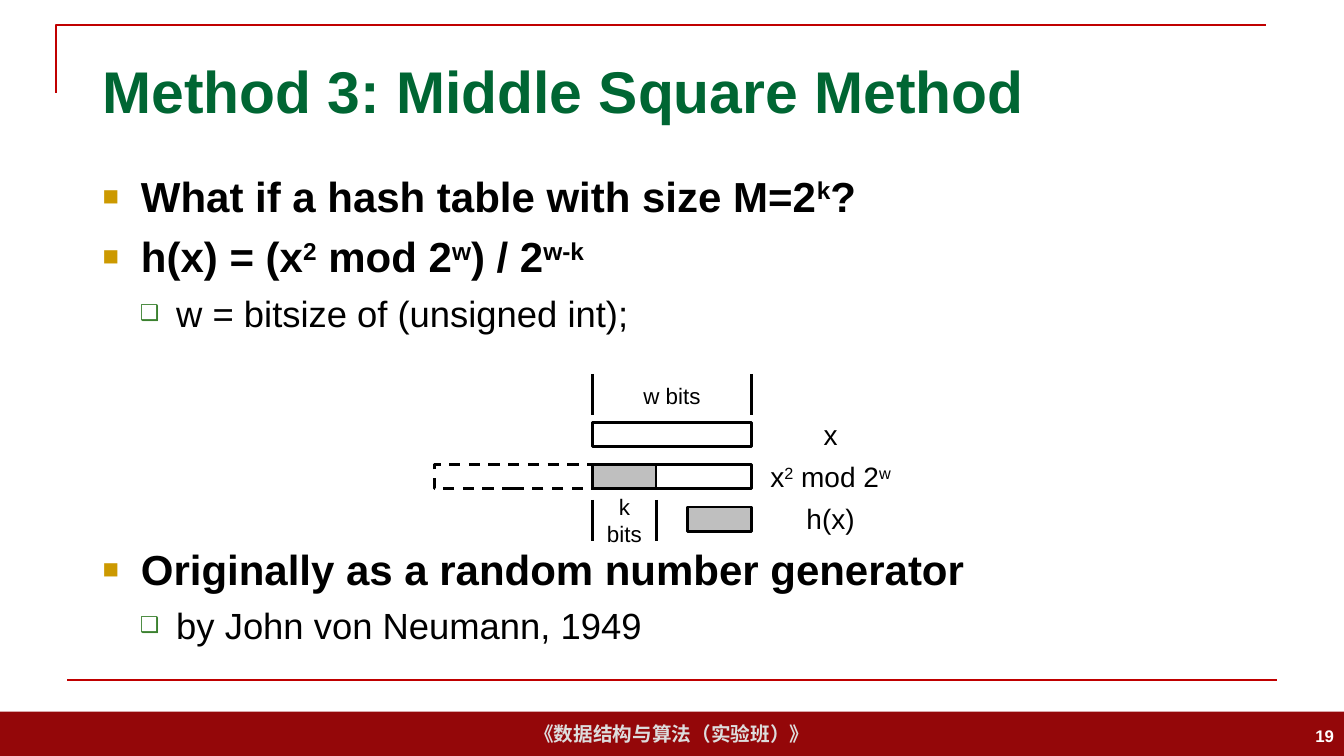
from dataclasses import dataclass
from typing import Optional

from lxml.etree import SubElement
from pptx import Presentation
from pptx.dml.color import RGBColor
from pptx.enum.dml import MSO_LINE_DASH_STYLE as Dash
from pptx.enum.shapes import MSO_CONNECTOR as Connector, MSO_SHAPE as Shape
from pptx.enum.text import MSO_ANCHOR as Anchor, PP_ALIGN as Align
from pptx.oxml.ns import qn
from pptx.util import Inches, Pt

BLACK = RGBColor(0x00, 0x00, 0x00)
WHITE = RGBColor(0xFF, 0xFF, 0xFF)
GREY = RGBColor(0xBF, 0xBF, 0xBF)
PALE = RGBColor(0xDD, 0xDD, 0xDD)
GREEN = RGBColor(0x00, 0x66, 0x33)
RED = RGBColor(0xC0, 0x00, 0x00)
DARK_RED = RGBColor(0x94, 0x07, 0x09)

FONT = "Arial"
WIDTH, HEIGHT = Inches(13.33), Inches(7.5)

# Diagram grid, in percent of the slide's width and height
WORD_LEFT, WORD_WIDTH = 44.1, 11.8
WORD_RIGHT = WORD_LEFT + WORD_WIDTH
KEY_WIDTH = 0.4 * WORD_WIDTH
FIRST_ROW, ROW_STEP, BAR_HEIGHT = 55.87, 5.6, 3.2
TICK_HEIGHT = 5.47
WORD_TICK_TOP, KEY_TICK_TOP = 49.47, 66.13


@dataclass(frozen=True)
class Box:
    """Place in percent of the slide's size."""
    left: float
    top: float
    width: float
    height: float


@dataclass(frozen=True)
class Bar:
    left: float
    row: int
    width: float
    fill: Optional[RGBColor] = None
    dash: Optional[Dash] = None


@dataclass(frozen=True)
class Label:
    text: str  # "^" switches superscript on and off
    box: Box
    size: int
    color: RGBColor = BLACK
    bold: bool = False
    align: Align = Align.CENTER
    anchor: Anchor = Anchor.TOP


@dataclass(frozen=True)
class Level:
    size: int
    bold: bool
    margin: float
    hanging: float
    bullet: str
    bullet_color: str
    bullet_percent: int


TOPIC = Level(30, True, 0.38, 0.38, "■", "CC9900", 65)
DETAIL = Level(26, False, 0.73, 0.36, "❑", "3B812F", 60)


def across(percent: float) -> int:
    return round(WIDTH * percent / 100)


def down(percent: float) -> int:
    return round(HEIGHT * percent / 100)


def place(box: Box) -> tuple[int, int, int, int]:
    return across(box.left), down(box.top), across(box.width), down(box.height)


def write(paragraph, text: str, size: int, color: RGBColor, bold: bool) -> None:
    style = {"name": FONT, "size": Pt(size), "bold": bold}
    for index, part in enumerate(text.split("^")):
        if not part:
            continue
        run = paragraph.add_run()
        run.text = part
        for key, value in style.items():
            setattr(run.font, key, value)
        run.font.color.rgb = color
        if index % 2:
            run._r.get_or_add_rPr().set("baseline", "30000")


def add_label(slide, label: Label) -> None:
    frame = slide.shapes.add_textbox(*place(label.box)).text_frame
    frame.word_wrap = True
    frame.vertical_anchor = label.anchor
    frame.paragraphs[0].alignment = label.align
    write(frame.paragraphs[0], label.text, label.size, label.color, label.bold)


def add_bullets(slide, box: Box, items: list[tuple[Level, str]]) -> None:
    frame = slide.shapes.add_textbox(*place(box)).text_frame
    frame.word_wrap = True
    for index, (level, text) in enumerate(items):
        paragraph = frame.add_paragraph() if index else frame.paragraphs[0]
        paragraph.space_before = Pt(7 if index else 0)
        props = paragraph._p.get_or_add_pPr()
        props.set("marL", str(Inches(level.margin)))
        props.set("indent", str(-Inches(level.hanging)))
        color = SubElement(props, qn("a:buClr"))
        SubElement(color, qn("a:srgbClr")).set("val", level.bullet_color)
        SubElement(props, qn("a:buSzPct")).set("val", str(level.bullet_percent * 1000))
        SubElement(props, qn("a:buFont")).set("typeface", FONT)
        SubElement(props, qn("a:buChar")).set("char", level.bullet)
        write(paragraph, text, level.size, BLACK, level.bold)


def add_rule(slide, start: tuple[float, float], end: tuple[float, float],
             color: RGBColor, weight: float) -> None:
    rule = slide.shapes.add_connector(Connector.STRAIGHT, across(start[0]), down(start[1]),
                                      across(end[0]), down(end[1]))
    rule.line.color.rgb = color
    rule.line.width = Pt(weight)
    SubElement(rule._element.spPr, qn("a:effectLst"))


def add_bar(slide, bar: Bar) -> None:
    box = Box(bar.left, FIRST_ROW + bar.row * ROW_STEP, bar.width, BAR_HEIGHT)
    rect = slide.shapes.add_shape(Shape.RECTANGLE, *place(box))
    rect.shadow.inherit = False
    if bar.fill is None:
        rect.fill.background()
    else:
        rect.fill.solid()
        rect.fill.fore_color.rgb = bar.fill
    rect.line.color.rgb = BLACK
    rect.line.width = Pt(2)
    if bar.dash is not None:
        rect.line.dash_style = bar.dash


def add_frame(slide) -> None:
    # Footer band
    band = slide.shapes.add_shape(Shape.RECTANGLE, *place(Box(0, 94.13, 100, 5.87)))
    band.shadow.inherit = False
    band.fill.solid()
    band.fill.fore_color.rgb = DARK_RED
    band.line.fill.background()
    band.text_frame.vertical_anchor = Anchor.MIDDLE
    course = band.text_frame.paragraphs[0]
    course.alignment = Align.CENTER
    write(course, "《数据结构与算法（实验班）》", 14, PALE, True)
    # Corner line and bottom rule
    outline = slide.shapes.build_freeform(across(4.2), down(12.27))
    outline.add_line_segments([(across(4.2), down(3.33)), (across(94.2), down(3.33))], close=False)
    corner = outline.convert_to_shape()
    corner.shadow.inherit = False
    corner.fill.background()
    corner.line.color.rgb = RED
    corner.line.width = Pt(1.5)
    add_rule(slide, (5, 90), (95, 90), RED, 1.5)


def main() -> None:
    deck = Presentation()
    deck.slide_width, deck.slide_height = WIDTH, HEIGHT
    slide = deck.slides.add_slide(deck.slide_layouts[6])
    add_frame(slide)

    # Title, bullets and page number
    add_label(slide, Label("Method 3: Middle Square Method", Box(6.9, 5.33, 86.27, 13.2), 42,
                           GREEN, True, Align.LEFT, Anchor.MIDDLE))
    add_bullets(slide, Box(6.9, 21.9, 86.27, 25), [
        (TOPIC, "What if a hash table with size M=2^k^?"),
        (TOPIC, "h(x) = (x^2^ mod 2^w^) / 2^w-k^"),
        (DETAIL, "w = bitsize of (unsigned int);"),
    ])
    add_bullets(slide, Box(6.9, 71.2, 86.27, 17), [
        (TOPIC, "Originally as a random number generator"),
        (DETAIL, "by John von Neumann, 1949"),
    ])
    add_label(slide, Label("19", Box(77.5, 94.67, 22.5, 5.33), 12,
                           WHITE, True, Align.RIGHT, Anchor.MIDDLE))

    # Bit fields: x, its square, the middle bits and the hash
    for bar in (Bar(WORD_LEFT, 0, WORD_WIDTH),
                Bar(WORD_LEFT, 1, WORD_WIDTH),
                Bar(WORD_LEFT - WORD_WIDTH, 1, WORD_WIDTH, dash=Dash.DASH),
                Bar(WORD_LEFT, 1, KEY_WIDTH, GREY),
                Bar(WORD_RIGHT - KEY_WIDTH, 2, KEY_WIDTH, GREY)):
        add_bar(slide, bar)
    for row, value in enumerate(("x", "x^2^ mod 2^w^", "h(x)")):
        top = FIRST_ROW + row * ROW_STEP - 1.33
        add_label(slide, Label(value, Box(WORD_RIGHT, top, WORD_WIDTH, 5.87), 20))

    # Width marks
    for width, top in ((WORD_WIDTH, WORD_TICK_TOP), (KEY_WIDTH, KEY_TICK_TOP)):
        for x in (WORD_LEFT, WORD_LEFT + width):
            add_rule(slide, (x, top), (x, top + TICK_HEIGHT), BLACK, 2)
    add_label(slide, Label("w bits", Box(WORD_LEFT, 49.87, WORD_WIDTH, 4.93), 16))
    add_label(slide, Label("k bits", Box(WORD_LEFT, 64.53, KEY_WIDTH, 8.53), 16))

    deck.save("out.pptx")


if __name__ == "__main__":
    main()
